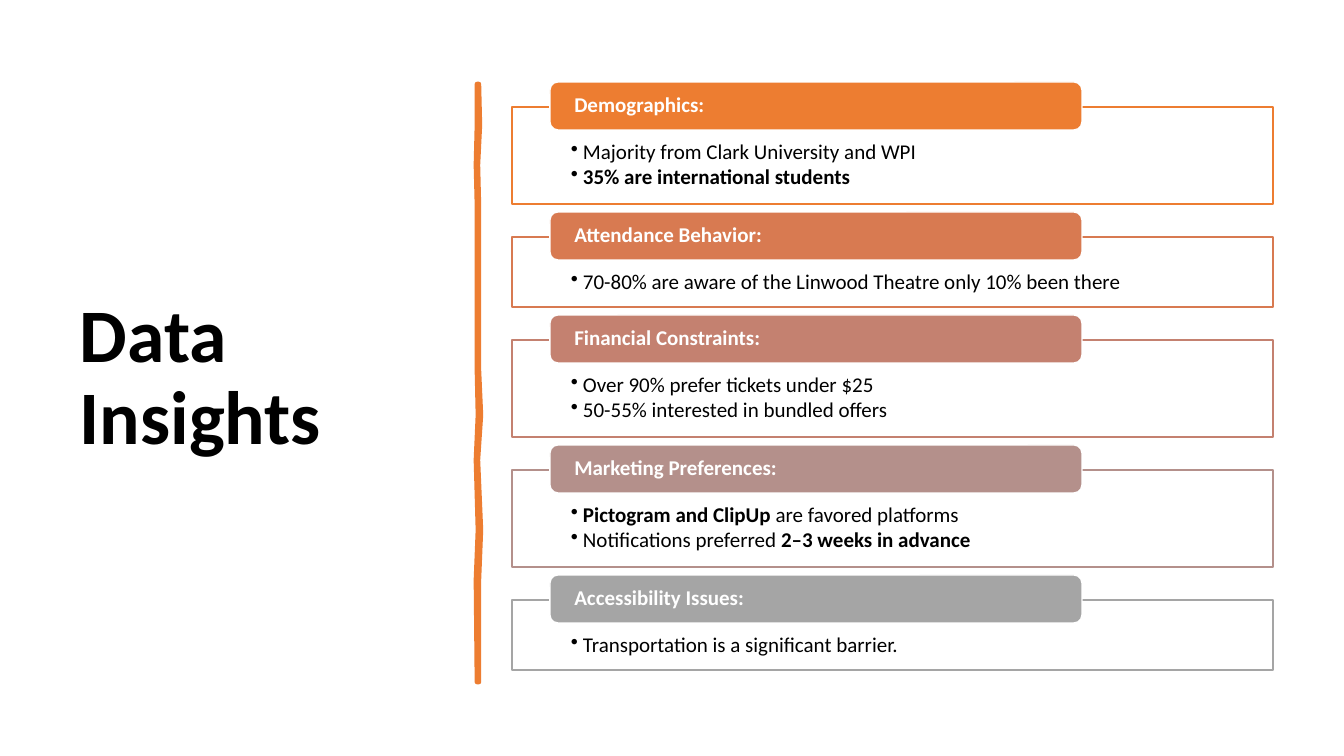
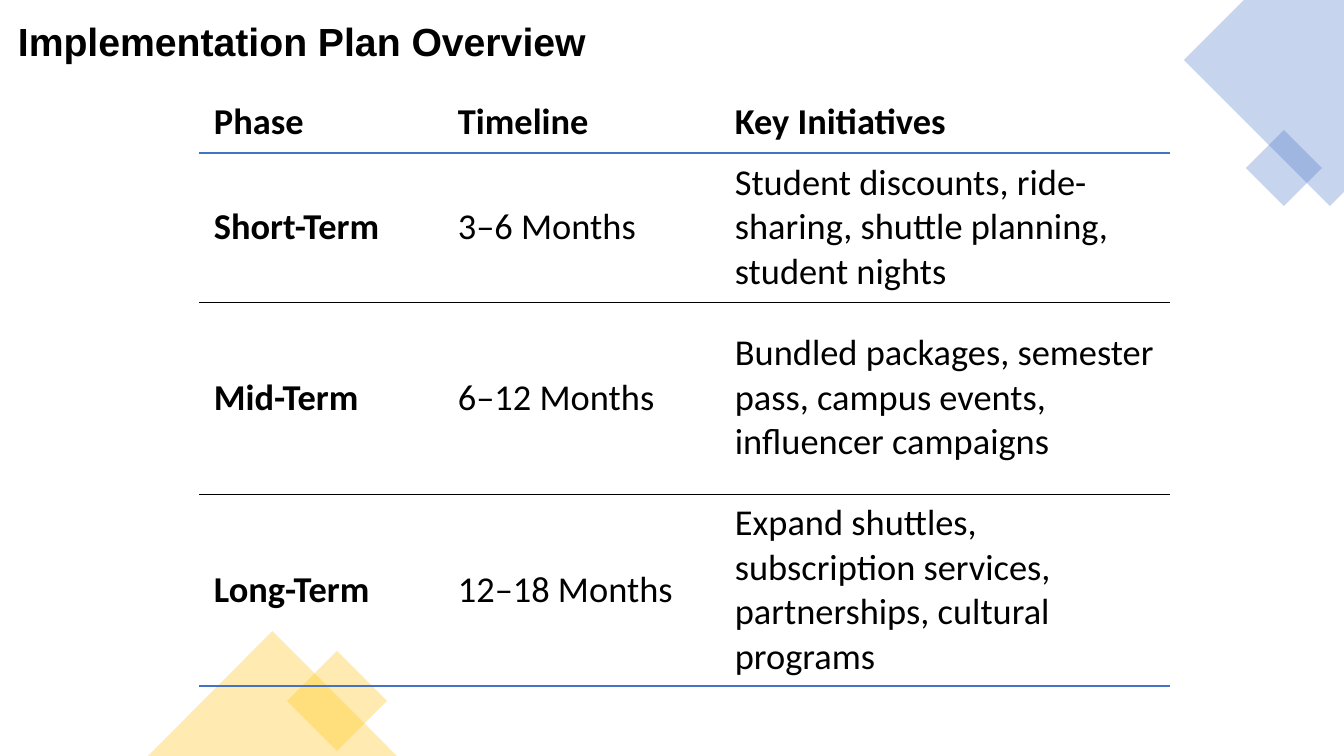
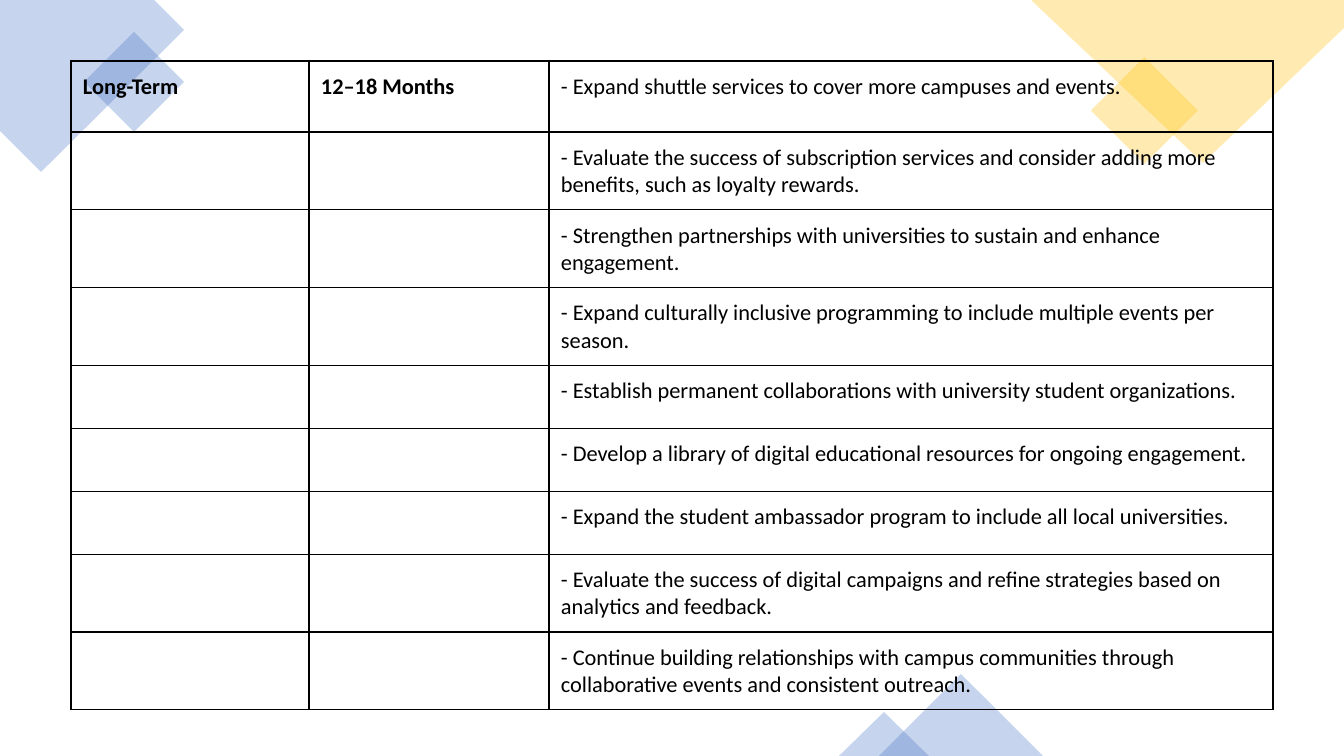
from lxml.etree import SubElement as Sub
from pptx import Presentation
from pptx.dml.color import RGBColor
from pptx.enum.shapes import MSO_SHAPE as Kind
from pptx.enum.text import MSO_ANCHOR as Anchor, PP_ALIGN as Align
from pptx.oxml.ns import qn
from pptx.util import Pt

PX = 914400 / 100.8
WIDE, HIGH = 1344, 756

BLACK = RGBColor(0x00, 0x00, 0x00)
WHITE = RGBColor(0xFF, 0xFF, 0xFF)
BLUE = RGBColor(0x44, 0x72, 0xC4)
GOLD = RGBColor(0xFF, 0xC0, 0x00)
ORANGE = RGBColor(0xED, 0x7D, 0x31)
RUST = RGBColor(0xD8, 0x7A, 0x51)
ROSE = RGBColor(0xC4, 0x81, 0x70)
MAUVE = RGBColor(0xB4, 0x90, 0x8B)
GRAY = RGBColor(0xA5, 0xA5, 0xA5)

# Content: text between asterisks is bold
CARDS = [
    ("Demographics:", ORANGE,
     ["Majority from Clark University and WPI", "*35% are international students*"]),
    ("Attendance Behavior:", RUST,
     ["70-80% are aware of the Linwood Theatre only 10% been there"]),
    ("Financial Constraints:", ROSE,
     ["Over 90% prefer tickets under $25", "50-55% interested in bundled offers"]),
    ("Marketing Preferences:", MAUVE,
     ["*Pictogram and ClipUp* are favored platforms",
      "Notifications preferred *2–3 weeks in advance*"]),
    ("Accessibility Issues:", GRAY, ["Transportation is a significant barrier."]),
]
# Brush stroke: y, left edge, right edge
STROKE = [
    (84, 477, 479), (125, 477, 480), (165, 476, 478), (205, 477, 479),
    (290, 477, 479), (370, 477, 479), (415, 478, 481), (460, 476, 478),
    (530, 478, 481), (580, 476, 479), (682, 477, 479),
]
PLAN = [
    ("*Phase*", "*Timeline*", "*Key Initiatives*"),
    ("*Short-Term*", "3–6 Months",
     "Student discounts, ride-sharing, shuttle planning, student nights"),
    ("*Mid-Term*", "6–12 Months",
     "Bundled packages, semester pass, campus events, influencer campaigns"),
    ("*Long-Term*", "12–18 Months",
     "Expand shuttles, subscription services, partnerships, cultural programs"),
]
STEPS = [
    "Expand shuttle services to cover more campuses and events.",
    "Evaluate the success of subscription services and consider adding more benefits,"
    " such as loyalty rewards.",
    "Strengthen partnerships with universities to sustain and enhance engagement.",
    "Expand culturally inclusive programming to include multiple events per season.",
    "Establish permanent collaborations with university student organizations.",
    "Develop a library of digital educational resources for ongoing engagement.",
    "Expand the student ambassador program to include all local universities.",
    "Evaluate the success of digital campaigns and refine strategies based on"
    " analytics and feedback.",
    "Continue building relationships with campus communities through"
    " collaborative events and consistent outreach.",
]
# Corner decor: a list of points is an outline, otherwise kind and box
PLAN_DECOR = [
    ([(1344, 0), (1244, 0), (1184, 60), (1330, 206), (1344, 192)], BLUE),
    ((Kind.DIAMOND, 1246, 130, 76, 76), BLUE),
    ((Kind.DIAMOND, 287, 651, 100, 100), GOLD),
    ((Kind.ISOSCELES_TRIANGLE, 148, 631, 249, 125), GOLD),
]
STEP_DECOR = [
    ([(154, 0), (0, 0), (0, 131), (41, 172), (184, 30)], BLUE),
    ((Kind.DIAMOND, 84, 32, 100, 100), BLUE),
    ((Kind.DIAMOND, 1091, 57, 107, 107), GOLD),
    ([(1344, 0), (1031, 0), (1203, 163), (1344, 28)], GOLD),
    ((Kind.ISOSCELES_TRIANGLE, 879, 674, 164, 82), BLUE),
    ((Kind.ISOSCELES_TRIANGLE, 839, 712, 90, 44), BLUE),
]


def emu(*vals):
    return [round(v * PX) for v in vals]


def write(frame, *paras, size=16, font="Calibri", color=BLACK, bold=False,
          pitch=None, after=0, bullet=False):
    for i, text in enumerate(paras):
        para = frame.add_paragraph() if i else frame.paragraphs[0]
        para.alignment = Align.LEFT
        para.space_after = Pt(after)
        if pitch:
            para.line_spacing = pitch
        if bullet:
            props = para._p.get_or_add_pPr()
            props.set("marL", str(emu(12)[0]))
            props.set("indent", str(emu(-12)[0]))
            Sub(props, qn("a:buChar"), char="•")
        for j, part in enumerate(text.split("*")):
            if part:
                run = para.add_run()
                run.text = part
                run.font.size, run.font.name = Pt(size), font
                run.font.bold = bold or j % 2 == 1
                run.font.color.rgb = color


def inset(box, left, top, right, bottom):
    box.margin_left, box.margin_top, box.margin_right, box.margin_bottom = emu(
        left, top, right, bottom)


def paint(shape, fill, line=None, width=1, alpha=None):
    shape.shadow.inherit = False
    shape.fill.solid()
    shape.fill.fore_color.rgb = fill
    if alpha:
        tone = shape._element.spPr.find(qn("a:solidFill"))[0]
        Sub(tone, qn("a:alpha"), val=str(alpha * 1000))
    if line is None:
        shape.line.fill.background()
    else:
        shape.line.color.rgb = line
        shape.line.width = Pt(width)
    return shape


def block(slide, kind, *box):
    return slide.shapes.add_shape(kind, *emu(*box))


def outline(slide, points):
    pen = slide.shapes.build_freeform(*points[0], scale=PX)
    pen.add_line_segments(points[1:], close=True)
    return pen.convert_to_shape()


def decor(slide, parts):
    for part, color in parts:
        shape = outline(slide, part) if isinstance(part, list) else block(slide, *part)
        paint(shape, color, alpha=30)


def label(slide, box, text, wrap=True, **style):
    frame = slide.shapes.add_textbox(*emu(*box)).text_frame
    frame.word_wrap = wrap
    frame.vertical_anchor = Anchor.MIDDLE
    write(frame, text, bold=True, **style)


def edge(cell, side, color=None, width=1):
    props = cell._tc.get_or_add_tcPr()
    line = Sub(props, qn("a:ln" + side), w=str(Pt(width)))
    if color is None:
        Sub(line, qn("a:noFill"))
    else:
        Sub(Sub(line, qn("a:solidFill")), qn("a:srgbClr"), val=str(color))


def grid(slide, left, top, cols, rows, data, rule, pad, anchor, size):
    """Draw a table; rule(row) gives the borders of a row by side."""
    table = slide.shapes.add_table(
        len(rows), len(cols), *emu(left, top, sum(cols), sum(rows))).table
    table.first_row = table.horz_banding = False
    for col, width in zip(table.columns, emu(*cols)):
        col.width = width
    for r, (row, height) in enumerate(zip(table.rows, emu(*rows))):
        row.height = height
        for cell, text in zip(row.cells, data[r]):
            inset(cell, *pad)
            cell.vertical_anchor = anchor
            for side in "LRTB":
                edge(cell, side, *rule(r).get(side, ()))
            cell.fill.background()
            write(cell.text_frame, text, size=size)


def insights(slide):
    label(slide, (70, 71, 377, 616), "Data Insights", size=54, pitch=0.9)
    points = [(x, y) for y, _, x in STROKE] + [(x, y) for y, x, _ in reversed(STROKE)]
    paint(outline(slide, points), ORANGE, ORANGE, 3.25)
    # Cards, each with a tab over its top edge
    top = 107
    for head, color, lines in CARDS:
        high = 44 + 26 * len(lines) + (len(lines) > 1)
        body = paint(block(slide, Kind.RECTANGLE, 512, top, 761, high),
                     WHITE, color, alpha=90).text_frame
        inset(body, 59, 34, 59, 12)
        body.vertical_anchor = Anchor.TOP
        write(body, *lines, size=15, pitch=0.9, after=2, bullet=True)
        tab = paint(block(slide, Kind.ROUNDED_RECTANGLE, 550, top - 25, 532, 48),
                    color, WHITE).text_frame
        inset(tab, 22, 0, 22, 0)
        tab.vertical_anchor = Anchor.MIDDLE
        write(tab, head, size=15, color=WHITE, bold=True, pitch=0.9)
        top += high + 33


def overview(slide):
    decor(slide, PLAN_DECOR)
    rules = [(BLUE, 1.5), (BLACK, 0.25), (BLACK, 0.25), (BLUE, 1)]

    def rule(row):
        sides = {"B": rules[row]}
        if row:
            sides["T"] = rules[row - 1]
        return sides

    grid(slide, 199, 90, [244, 277, 450], [63, 149, 192, 192], PLAN, rule,
         (15, 7, 15, 7), Anchor.MIDDLE, 26)
    label(slide, (8, 12, 595, 58), "Implementation Plan Overview",
          wrap=False, size=28, font="Arial")


def longterm(slide):
    decor(slide, STEP_DECOR)
    data = [("", "", "- " + step) for step in STEPS]
    data[0] = ("*Long-Term*", "*12–18 Months*", data[0][2])
    grid(slide, 71, 61, [238, 240, 724], [71] + [63] * (len(STEPS) - 1), data,
         lambda row: dict.fromkeys("LRTB", (BLACK, 1)),
         (12, 12, 12, 12), Anchor.TOP, 16)


def main():
    deck = Presentation()
    deck.slide_width, deck.slide_height = emu(WIDE, HIGH)
    for build in (insights, overview, longterm):
        build(deck.slides.add_slide(deck.slide_layouts[6]))
    deck.save("out.pptx")


if __name__ == "__main__":
    main()
